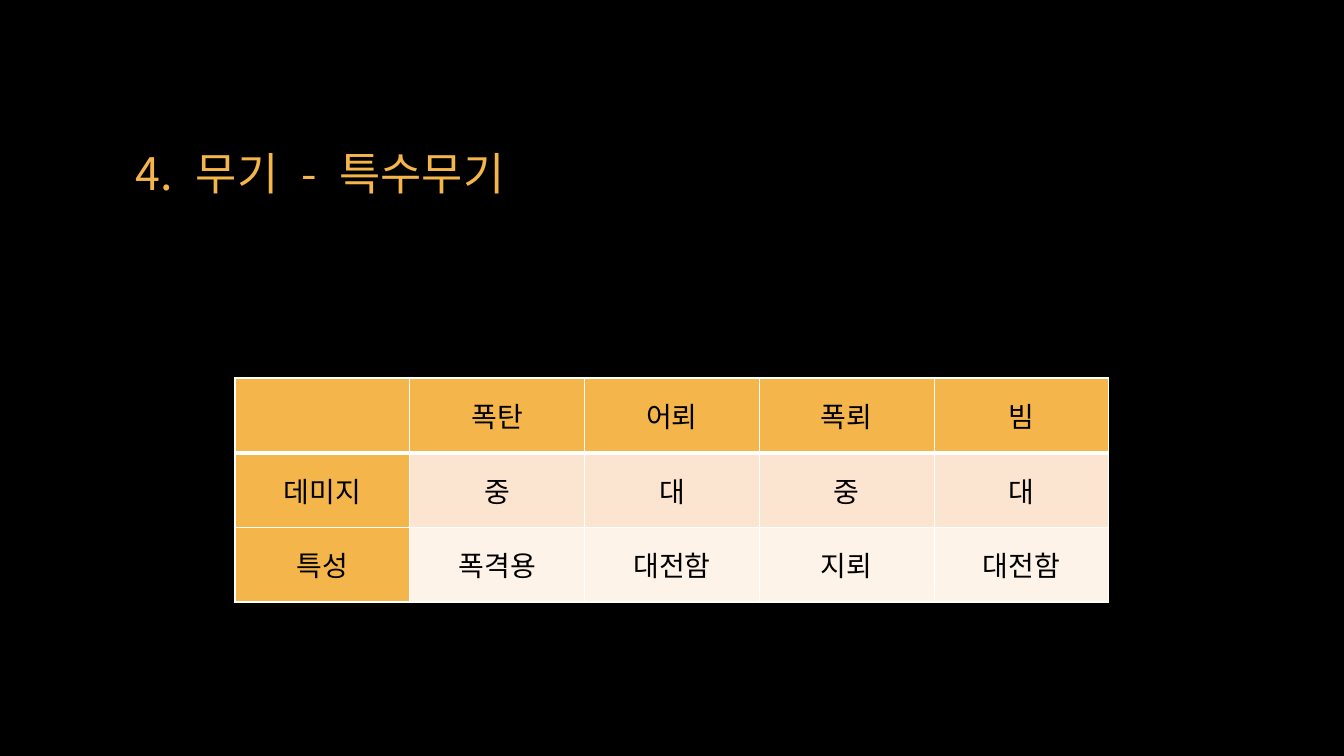
"""Build the special weapons slide."""
from dataclasses import dataclass

from lxml import etree
from pptx import Presentation, util as u
from pptx.dml.color import RGBColor
from pptx.enum import text as t
from pptx.oxml import ns

PX = 914400 / 100.8


@dataclass(frozen=True)
class Theme:
    """Colours, font and type sizes."""
    background: str = "000000"
    accent: str = "F4B54B"
    ink: str = "000000"
    rule: str = "FFFFFF"
    bands: tuple = ("FBE5D0", "FDF3E9")
    font: str = "Noto Sans CJK KR"
    title_size: int = 32
    cell_size: int = 20


THEME = Theme()


def px(length):
    """Turn pixels into EMU."""
    return u.Emu(round(length * PX))


def write(frame, words, *, size, color, align=t.PP_ALIGN.LEFT, word_gap=0):
    """Write one line, widening its spaces by word_gap points."""
    paragraph = frame.paragraphs[0]
    paragraph.alignment = align
    pieces = words.replace(" ", "\n \n").split("\n") if word_gap else [words]
    for piece in pieces:
        run = paragraph.add_run()
        run.text = piece
        run.font.name = THEME.font
        run.font.size = u.Pt(size)
        run.font.color.rgb = RGBColor.from_string(color)
        props = run.font._element
        etree.SubElement(props, ns.qn("a:ea"), typeface=THEME.font)
        if piece == " ":
            props.set("spc", str(word_gap * 100))


def border(cell, **widths):
    """Draw the cell's edges in the order L, R, T, B, with widths in points."""
    props = cell._tc.get_or_add_tcPr()
    for index, (edge, width) in enumerate(widths.items()):
        line = etree.Element(ns.qn(f"a:ln{edge}"), w=str(u.Pt(width)))
        fill = etree.SubElement(line, ns.qn("a:solidFill"))
        etree.SubElement(fill, ns.qn("a:srgbClr"), val=THEME.rule)
        props.insert(index, line)


def add_heading(slide, box, words):
    """Place the heading in its box."""
    frame = slide.shapes.add_textbox(*map(px, box)).text_frame
    frame.word_wrap = True
    frame.vertical_anchor = t.MSO_ANCHOR.MIDDLE
    write(frame, words, size=THEME.title_size, color=THEME.accent, word_gap=9)


def add_weapons(slide, box, rows):
    """Fill the box with the weapons table in equal columns and rows."""
    left, top, width, height = box
    weapons = slide.shapes.add_table(len(rows), len(rows[0]), *map(px, box)).table
    for column in weapons.columns:
        column.width = px(width / len(rows[0]))
    for row in weapons.rows:
        row.height = px(height / len(rows))
    for r, entries in enumerate(rows):
        for c, entry in enumerate(entries):
            cell = weapons.cell(r, c)
            is_header = r == 0 or c == 0
            shade = THEME.accent if is_header else THEME.bands[(r - 1) % 2]
            cell.fill.solid()
            cell.fill.fore_color.rgb = RGBColor.from_string(shade)
            cell.vertical_anchor = t.MSO_ANCHOR.MIDDLE
            border(cell, L=1, R=1, T=3 if r == 1 else 1, B=3 if r == 0 else 1)
            if entry:
                write(cell.text_frame, entry, size=THEME.cell_size,
                      color=THEME.ink, align=t.PP_ALIGN.CENTER)


def build():
    """Build and save the deck."""
    deck = Presentation()
    deck.slide_width, deck.slide_height = px(1344), px(756)
    slide = deck.slides.add_slide(deck.slide_layouts[6])
    slide.background.fill.solid()
    slide.background.fill.fore_color.rgb = RGBColor.from_string(THEME.background)
    add_heading(slide, (126, 68, 1092, 210), "4. 무기 - 특수무기")
    add_weapons(slide, (235, 378, 874, 224), [
        ["", "폭탄", "어뢰", "폭뢰", "빔"],
        ["데미지", "중", "대", "중", "대"],
        ["특성", "폭격용", "대전함", "지뢰", "대전함"],
    ])
    deck.save("out.pptx")


build()
